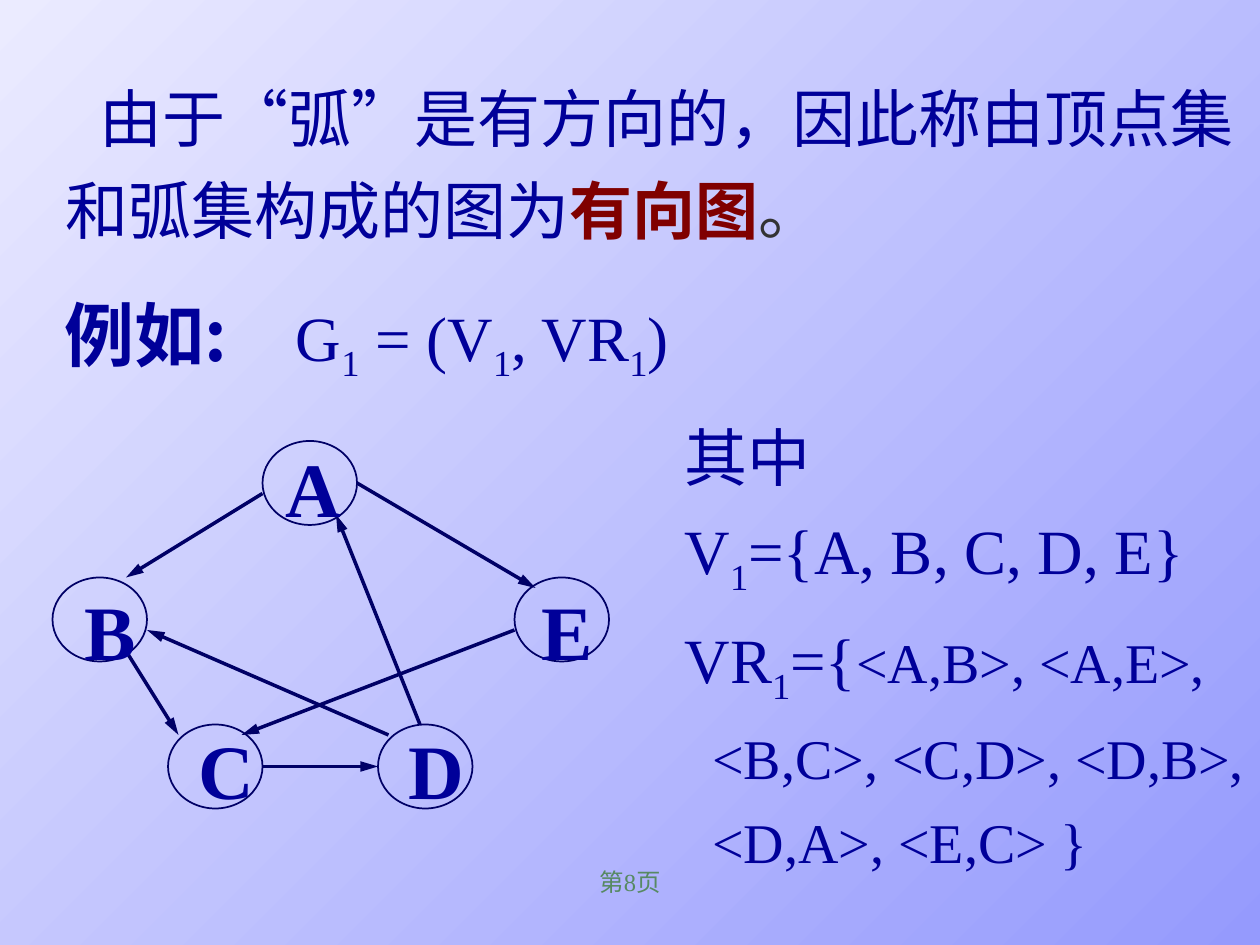
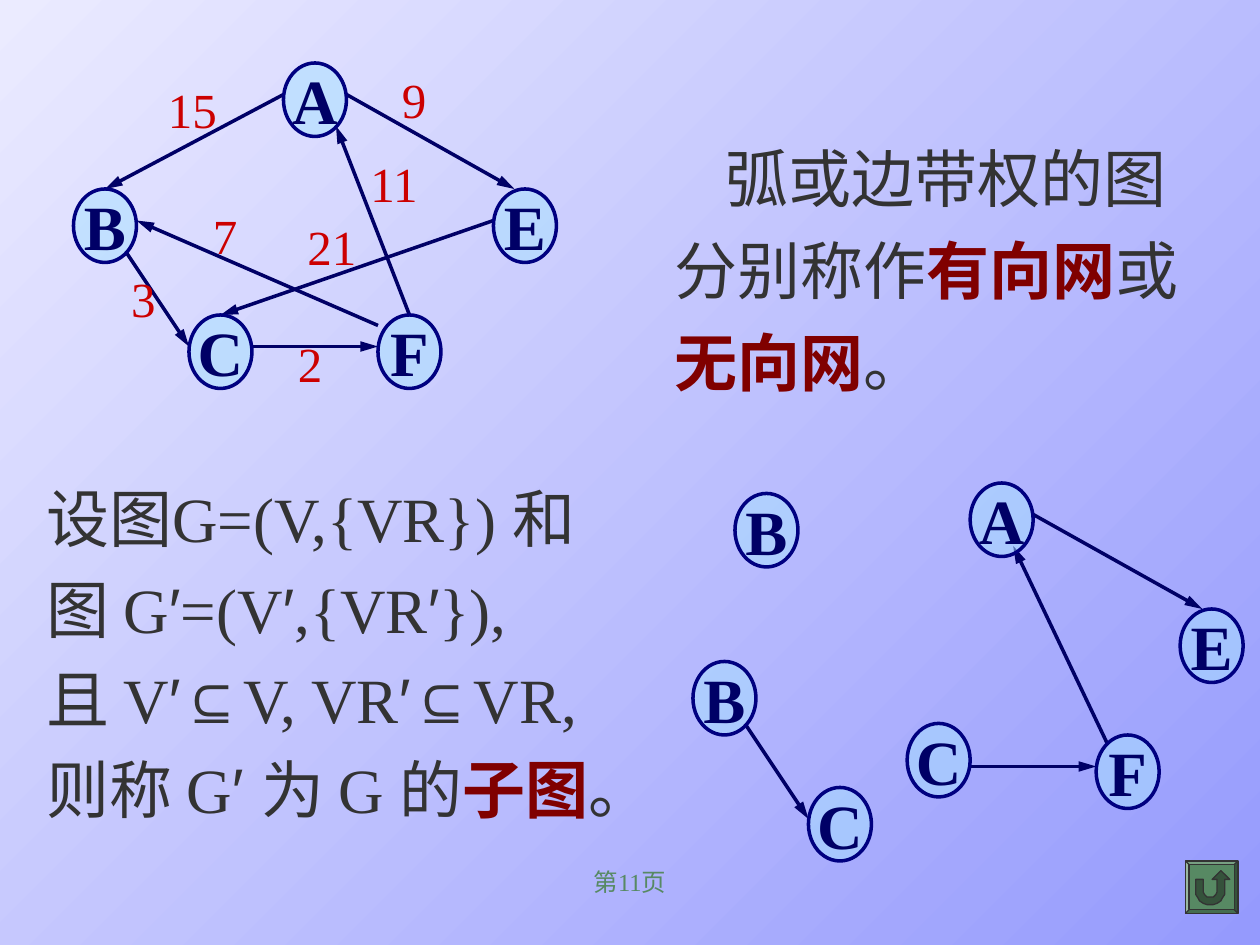
import math

import pptx
import pptx.dml.color
import pptx.enum.shapes
import pptx.enum.text
import pptx.oxml.ns
import pptx.util
from lxml import etree

# Shared look
COLORS = {
    "sky_light": "EBEBFF", "sky_deep": "959AFD", "ink": "000099",
    "text": "333333", "term": "800000", "navy": "000066", "ring": "000080",
    "vertex": "A7E2FF", "weight": "CC0000", "green": "578963", "dark_green": "35523B",
}
LATIN, ASIAN, SYMBOL = "Times New Roman", "Noto Sans CJK SC", "Arial"
MIDDLE = pptx.enum.text.MSO_ANCHOR.MIDDLE
TOP = pptx.enum.text.MSO_ANCHOR.TOP
CENTER = pptx.enum.text.PP_ALIGN.CENTER
LEFT = pptx.enum.text.PP_ALIGN.LEFT
OVAL = pptx.enum.shapes.MSO_SHAPE.OVAL
BEVEL = pptx.enum.shapes.MSO_SHAPE.BEVEL
STRAIGHT = pptx.enum.shapes.MSO_CONNECTOR.STRAIGHT

# The slide is a grid of 120 columns and 90 rows
COLUMNS, ROWS = 120, 90
UNIT = pptx.util.Inches(10) // COLUMNS

BLUE = dict(size=36, font=LATIN, color="ink")
BLUE_ASIAN = dict(BLUE, font=ASIAN)
GRAY = dict(size=36, font=LATIN, color="text")
TERM = dict(color="term", bold=True)
SUB = dict(sub=True)
PRIME = ("′", dict(font=SYMBOL))


def grid(*cells):
    return [pptx.util.Emu(round(cell * UNIT)) for cell in cells]


def rgb(name):
    return pptx.dml.color.RGBColor.from_string(COLORS[name])


def add_xml(parent, tag, **attributes):
    return etree.SubElement(parent, pptx.oxml.ns.qn(tag), attributes)


# Text
def format_run(run, size, font, color, bold=False, sub=False):
    run.font.size = pptx.util.Pt(size)
    run.font.name = font
    run.font.bold = bold
    run.font.color.rgb = rgb(color)
    properties = run._r.get_or_add_rPr()
    add_xml(properties, "a:ea", typeface=ASIAN)
    if sub:
        properties.set("baseline", "-25000")


def write_line(paragraph, pieces, style, pitch=None, align=LEFT, margin=0, indent=0):
    """Pieces are strings in the base style or (string, changes) pairs."""
    for piece in pieces:
        words, changes = (piece, {}) if isinstance(piece, str) else piece
        run = paragraph.add_run()
        run.text = words
        format_run(run, **{**style, **changes})
    paragraph.alignment = align
    paragraph.space_before = paragraph.space_after = pptx.util.Pt(0)
    paragraph.line_spacing = pptx.util.Pt(pitch) if pitch else 1.0
    properties = paragraph._p.get_or_add_pPr()
    properties.set("marL", str(pptx.util.Inches(margin)))
    properties.set("indent", str(pptx.util.Inches(indent)))
    add_xml(properties, "a:buNone")


def set_frame(frame, wrap=True, anchor=TOP, drop=0):
    frame.word_wrap = wrap
    frame.auto_size = pptx.enum.text.MSO_AUTO_SIZE.NONE
    frame.vertical_anchor = anchor
    frame.margin_left = frame.margin_right = pptx.util.Inches(0.1)
    frame.margin_top = pptx.util.Inches(0.05 + drop)
    frame.margin_bottom = pptx.util.Inches(0.05)


def write_block(block, lines, style, drop=0):
    """Lines are (pieces, layout) pairs."""
    frame = block.text_frame
    set_frame(frame, drop=drop)
    for number, (pieces, layout) in enumerate(lines):
        paragraph = frame.add_paragraph() if number else frame.paragraphs[0]
        write_line(paragraph, pieces, style, **layout)


def fill_placeholder(block, box, lines, style, drop=0):
    block.left, block.top, block.width, block.height = grid(*box)
    write_block(block, lines, style, drop)


def add_note(slide, box, pieces, style, wrap=True, **layout):
    note = slide.shapes.add_textbox(*grid(*box))
    set_frame(note.text_frame, wrap)
    write_line(note.text_frame.paragraphs[0], pieces, style, **layout)


def add_page_number(slide, number):
    add_note(slide, (41, 82, 38, 6), [f"第{number}页"],
             dict(size=14, font=LATIN, color="green"), align=CENTER)


# Graph parts
def add_arc(slide, start, end):
    arc = slide.shapes.add_connector(STRAIGHT, *grid(*start, *end))
    arc.line.color.rgb = rgb("navy")
    arc.line.width = pptx.util.Pt(2)
    add_xml(arc.line._get_or_add_ln(), "a:tailEnd", type="triangle", w="med", len="lg")
    add_xml(arc._element.spPr, "a:effectLst")


def add_vertex(slide, name, corner, size, style, ring, width, filled, shift=(0, 0)):
    vertex = slide.shapes.add_shape(OVAL, *grid(*corner, *size))
    vertex.shadow.inherit = False
    vertex.line.color.rgb = rgb(ring)
    vertex.line.width = pptx.util.Pt(width)
    if filled:
        vertex.fill.solid()
        vertex.fill.fore_color.rgb = rgb("vertex")
        tint = vertex._element.spPr.find(".//" + pptx.oxml.ns.qn("a:srgbClr"))
        add_xml(tint, "a:alpha", val="50000")
    else:
        vertex.fill.background()
    frame = vertex.text_frame
    set_frame(frame, wrap=False, anchor=MIDDLE)
    # Unequal insets move the letter by half their difference
    right, down = shift
    frame.margin_left += pptx.util.Inches(2 * right)
    frame.margin_top += pptx.util.Inches(2 * down)
    write_line(frame.paragraphs[0], [name], style, align=CENTER)


def add_graph(slide, vertices, arcs, **look):
    for start, end in arcs:
        add_arc(slide, start, end)
    for name, corner, *shift in vertices:
        add_vertex(slide, name, corner, shift=shift or (0, 0), **look)


def add_return_button(slide):
    button = slide.shapes.add_shape(BEVEL, *grid(112.9, 82, 5, 5))
    button.adjustments[0] = 0.07

    def half_turn(radius, angles):
        return [(960.5 + radius * math.cos(math.radians(a)),
                 707 + radius * math.sin(math.radians(a))) for a in angles]

    # Hundredths of an inch
    outline = [(949, 698), *half_turn(11.5, range(180, -1, -15)),
               (972, 698), (976, 698), (969, 691), (962, 698), (966, 698),
               *half_turn(5.5, range(0, 181, 15)), (955, 698)]
    builder = slide.shapes.build_freeform(*outline[0], scale=pptx.util.Inches(0.01))
    builder.add_line_segments(outline[1:], close=True)
    arrow = builder.convert_to_shape()
    for part, fill in ((button, "green"), (arrow, "dark_green")):
        part.shadow.inherit = False
        part.fill.solid()
        part.fill.fore_color.rgb = rgb(fill)
        part.line.color.rgb = rgb("text")
        part.line.width = pptx.util.Pt(0.75)


# Slides
def build_directed_graph(slide):
    title, definition = slide.placeholders
    fill_placeholder(title, (5, 4, 115, 19.4), [
        (["由于“弧”是有方向的，因此称由顶点集和弧集构成的图为",
          ("有向图", TERM), ("。", dict(color="text"))], dict(pitch=52.5, indent=0.27)),
    ], BLUE_ASIAN, drop=0.12)
    fill_placeholder(definition, (64, 37, 56, 46.7), [
        ([("其中", dict(font=ASIAN))], dict(pitch=57)),
        (["V", ("1", SUB), "={A, B, C, D, E}"], dict(pitch=59)),
        (["VR", ("1", SUB), "={", ("<A,B>, <A,E>,", dict(size=32))], dict(pitch=62)),
        ([("<B,C>, <C,D>, <D,B>,", dict(size=32))], dict(pitch=48, margin=0.22)),
        ([("<D,A>, <E,C> }", dict(size=32))], dict(pitch=48, margin=0.22)),
    ], BLUE)
    add_note(slide, (5, 25, 23, 10.8), ["例如:"],
             dict(BLUE_ASIAN, size=40, bold=True), pitch=61)
    add_note(slide, (27, 26, 45, 11),
             ["G", ("1", SUB), " = (V", ("1", SUB), ", VR", ("1", SUB), ")"],
             BLUE, pitch=60)
    add_graph(
        slide,
        [("A", (25, 42), 0.03, 0.03), ("B", (5, 55), 0.08, 0.08),
         ("E", (49, 55), 0.04, 0.08), ("C", (16, 69), 0.09, 0.02),
         ("D", (36, 69), 0.09, 0.02)],
        [((25, 47), (12, 55)), ((12, 62), (17, 70)), ((25, 73), (36, 73)),
         ((40, 69), (32, 49)), ((34, 46), (51, 56)), ((37, 70), (14, 60)),
         ((49, 60), (23, 70))],
        size=(9, 8), style=dict(BLUE, size=44, bold=True),
        ring="navy", width=1, filled=False)


def build_networks(slide):
    title, subgraph = slide.placeholders
    fill_placeholder(title, (63, 9, 51.5, 29), [
        (["弧或边带权的图分别称作", ("有向网", TERM), "或", ("无向网", TERM), "。"],
         dict(pitch=52.5, indent=0.41)),
    ], GRAY, drop=0.18)
    line = dict(pitch=51.6)
    fill_placeholder(subgraph, (3.2, 43.1, 56.8, 44.4), [
        (["设图G=(V,{VR}) 和图 G", PRIME, "=(V", PRIME, ",{VR", PRIME, "}),"], line),
        (["且 V", ("′⊆", dict(font=SYMBOL)), "V, VR",
          ("′⊆", dict(font=SYMBOL)), "VR,"], line),
        (["则称 G", ("′ ", dict(font=SYMBOL)), "为 G 的", ("子图", TERM), "。"], line),
    ], GRAY, drop=0.05)

    # Weighted network, then its subgraphs
    look = dict(size=(6, 7), style=dict(GRAY, color="navy", bold=True),
                ring="ring", width=2, filled=True)
    add_graph(
        slide,
        [("A", (27, 6)), ("B", (7, 18)), ("E", (47, 18)), ("C", (18, 30)), ("F", (36, 30))],
        [((27, 9), (10, 18)), ((12, 24), (18, 33)), ((24, 33), (36, 33)),
         ((39, 30), (32, 12)), ((33, 9), (49, 18)), ((36, 31), (13, 21)),
         ((47, 21), (21, 30))], **look)
    add_graph(
        slide,
        [("A", (92.4, 46)), ("E", (112.4, 58)), ("F", (104.4, 70)), ("C", (86.4, 68.9))],
        [((92.4, 73), (104.4, 73)), ((105.5, 70.9), (96.5, 52)),
         ((98.4, 49), (114.5, 58))], **look)
    add_graph(slide, [("B", (70, 47))], [], **look)
    add_graph(slide, [("B", (66, 63)), ("C", (77, 75))], [((71, 69), (77, 78))], **look)

    weights = [("15", 14.8, 7), ("9", 37.1, 6), ("7", 19.1, 19), ("21", 28.1, 20),
               ("11", 34.1, 14), ("3", 11.3, 25), ("2", 27.2, 31.2)]
    for weight, column, row in weights:
        add_note(slide, (column, row, 2.3 + 2.4 * len(weight), 6.8), [weight],
                 dict(size=28, font=LATIN, color="weight"), wrap=False)
    add_return_button(slide)


def paint_background(master):
    sky = master.background.fill
    sky.gradient()
    sky.gradient_angle = 315
    for stop, position, name in zip(sky.gradient_stops, (0, 1), ("sky_light", "sky_deep")):
        stop.position = position
        stop.color.rgb = rgb(name)


def main():
    deck = pptx.Presentation()
    deck.slide_width, deck.slide_height = grid(COLUMNS, ROWS)
    paint_background(deck.slide_master)
    for build, number in ((build_directed_graph, 8), (build_networks, 11)):
        slide = deck.slides.add_slide(deck.slide_layouts[1])
        build(slide)
        add_page_number(slide, number)
    deck.save("out.pptx")


if __name__ == "__main__":
    main()
